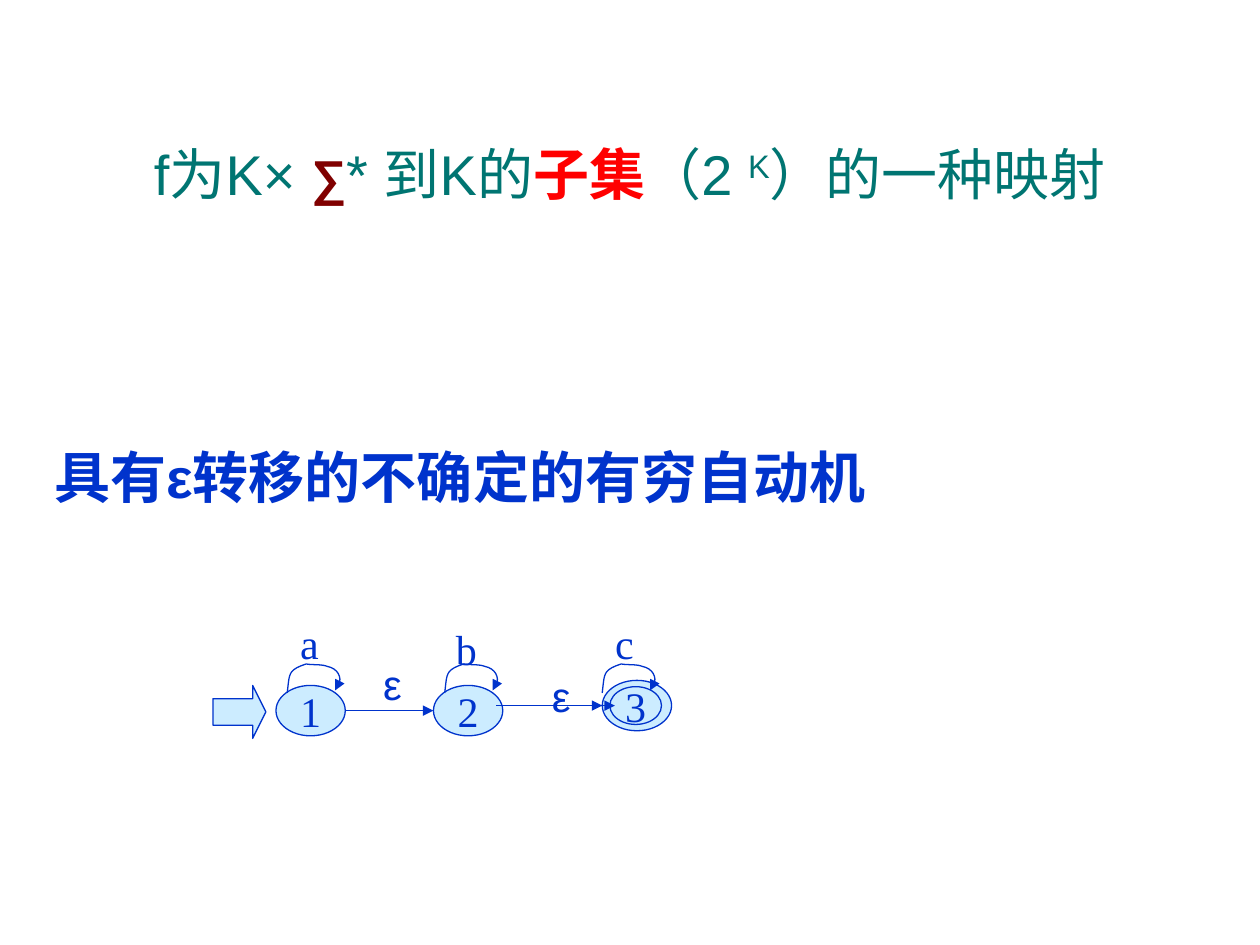
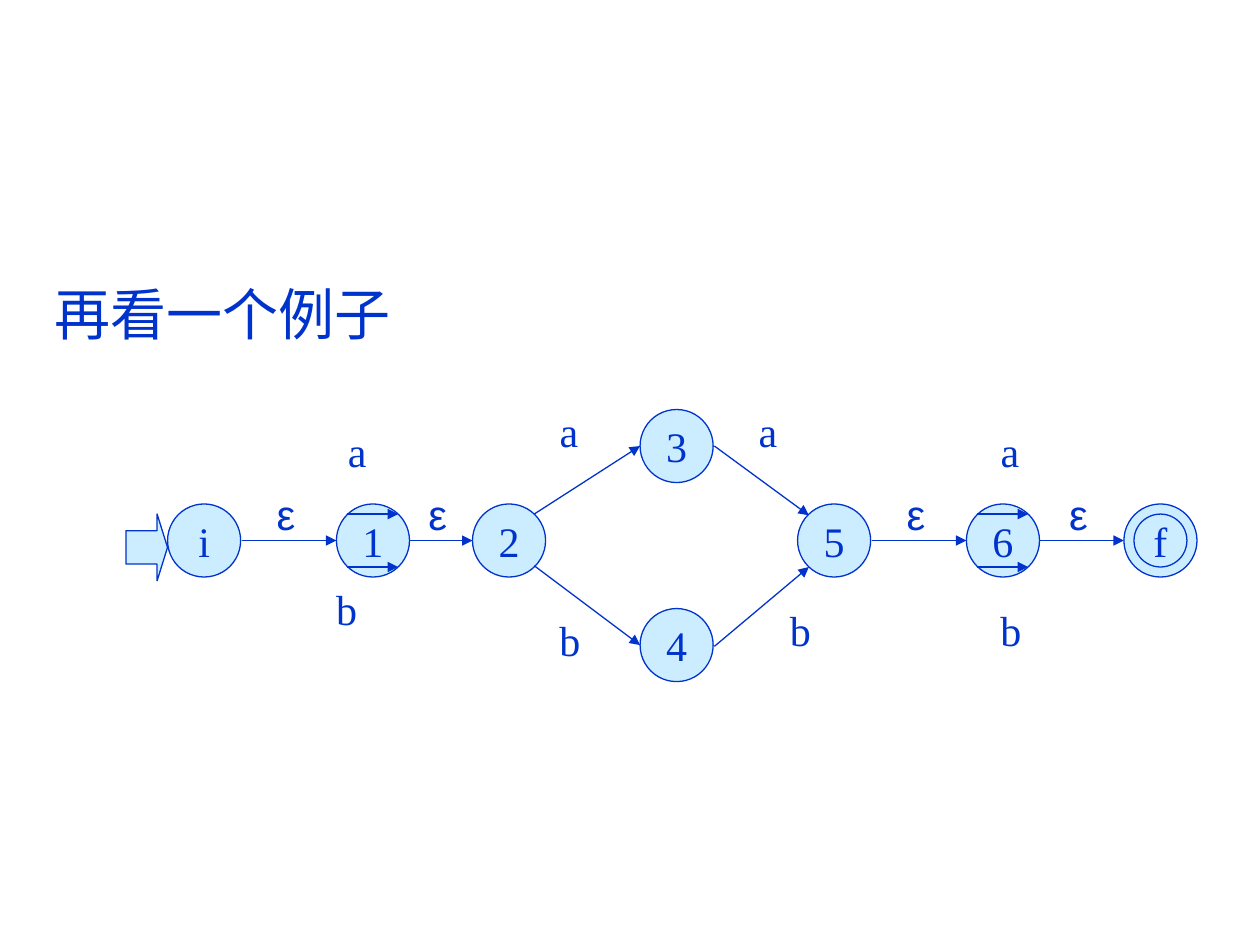
"""Build two slides on finite automata with epsilon transitions."""
import pptx
import pptx.dml.color
import pptx.enum.shapes
import pptx.enum.text
import pptx.oxml
import pptx.oxml.ns
import pptx.util
from pptx.util import Inches

RGB = pptx.dml.color.RGBColor
BLUE = RGB(0x00, 0x33, 0xCC)
PALE = RGB(0xCC, 0xEC, 0xFF)
TEAL = RGB(0x00, 0x75, 0x72)
MAROON = RGB(0x80, 0x00, 0x00)
RED = RGB(0xFF, 0x00, 0x00)
SANS, SERIF = "Arial", "Times New Roman"
SHAPE = pptx.enum.shapes.MSO_SHAPE
ALIGN = pptx.enum.text.PP_ALIGN
ANCHOR = pptx.enum.text.MSO_ANCHOR
CENTRED = {"word_wrap": False, "vertical_anchor": ANCHOR.MIDDLE}
BOX = {"left": Inches(0.33), "width": Inches(9.34)}


def apply(obj, values):
    """Set every attribute named in values on obj."""
    for name, value in values.items():
        setattr(obj, name, value)


def add_run(p, text, size=32, name=SANS, color=BLUE, bold=False):
    """Append a formatted run to a paragraph."""
    r = p.add_run()
    r.text = text
    apply(r.font, {"size": pptx.util.Pt(size), "name": name, "bold": bold})
    r.font.color.rgb = color
    return r


def add_child(parent, tag, **attributes):
    """Append a DrawingML element to parent."""
    child = pptx.oxml.ns.qn(tag)
    element = parent.makeelement(child, attributes)
    parent.append(element)


def outline(sp, arrow=False):
    """Give a shape or connector the thin blue line, with an optional arrowhead."""
    sp.line.color.rgb = BLUE
    sp.line.width = pptx.util.Pt(0.75)
    if arrow:
        add_child(sp.line._get_or_add_ln(), "a:tailEnd", type="triangle")


def add_title(s, runs):
    """Fill the title placeholder from (text, format) pairs."""
    sp = s.shapes.title
    apply(sp, BOX | {"top": Inches(0.75), "height": Inches(1.25)})
    tf = sp.text_frame
    apply(tf, {"vertical_anchor": ANCHOR.MIDDLE,
               "auto_size": pptx.enum.text.MSO_AUTO_SIZE.NONE})
    p = tf.paragraphs[0]
    p.alignment = ALIGN.CENTER
    return [add_run(p, text, **values) for text, values in runs]


def add_body(s, text, top, bold=False):
    """Put one unbulleted line into the body placeholder."""
    sp = s.placeholders[1]
    apply(sp, BOX | {"top": Inches(top), "height": Inches(6.42 - top)})
    tf = sp.text_frame
    apply(tf, {"vertical_anchor": ANCHOR.TOP,
               "auto_size": pptx.enum.text.MSO_AUTO_SIZE.NONE})
    p = tf.paragraphs[0]
    p.space_before = 0
    pPr = p._p.get_or_add_pPr()
    apply(pPr, {"marL": Inches(0.38), "indent": Inches(-0.38)})
    add_child(pPr, "a:buNone")
    add_run(p, text, bold=bold)


def write_centred(tf, text, name=SERIF):
    """Centre a symbol in a text frame."""
    apply(tf, CENTRED)
    p = tf.paragraphs[0]
    p.alignment = ALIGN.CENTER
    add_run(p, text, size=24, name=name)


def add_pale(s, kind, x, y, w, h):
    """Add a pale preset shape with a blue outline."""
    sp = s.shapes.add_shape(kind, Inches(x), Inches(y), Inches(w), Inches(h))
    sp.shadow.inherit = False
    sp.fill.solid()
    sp.fill.fore_color.rgb = PALE
    outline(sp)
    return sp


def add_state(s, x, y, w, h, text=""):
    """Add a state ellipse."""
    sp = add_pale(s, SHAPE.OVAL, x, y, w, h)
    if text:
        write_centred(sp.text_frame, text)


def add_start(s, x, y, w, h):
    """Add the block arrow that marks the start state."""
    sp = add_pale(s, SHAPE.RIGHT_ARROW, x, y, w, h)
    sp.adjustments[1] = 0.25


def add_label(s, text, x, y):
    """Add a transition symbol."""
    sp = s.shapes.add_textbox(Inches(x), Inches(y), Inches(0.35), Inches(0.5))
    write_centred(sp.text_frame, text, SANS if text == "ε" else SERIF)


def add_arrow(s, x1, y1, x2, y2):
    """Add a straight transition arrow."""
    sp = s.shapes.add_connector(pptx.enum.shapes.MSO_CONNECTOR.STRAIGHT,
                                *map(Inches, (x1, y1, x2, y2)))
    outline(sp, arrow=True)
    add_child(sp._element.spPr, "a:effectLst")


def curve_points(points, steps=10):
    """Return points along a chain of cubic curves."""
    result = []
    for k in range(0, len(points) - 1, 3):
        a, b, c, d = points[k:k + 4]
        for t in (n / steps for n in range(1, steps + 1)):
            u = 1 - t
            result.append(tuple(
                Inches(u**3 * a[i] + 3 * u * u * t * b[i]
                       + 3 * u * t * t * c[i] + t**3 * d[i])
                for i in (0, 1)))
    return result


def add_loop(s, x, y):
    """Add a curved arrow from a state back to itself."""
    offsets = [(0, 0.23), (0.02, 0.08), (0, 0.05), (0.15, 0), (0.21, 0.01),
               (0.27, 0), (0.32, 0.02), (0.42, 0.04), (0.45, 0.14), (0.38, 0.21)]
    points = [(x + dx, y + dy) for dx, dy in offsets]
    builder = s.shapes.build_freeform(*map(Inches, points[0]))
    builder.add_line_segments(curve_points(points), close=False)
    sp = builder.convert_to_shape()
    sp.shadow.inherit = False
    sp.fill.background()
    outline(sp, arrow=True)


def build_definition(prs):
    """Build the slide with the mapping and the three-state automaton."""
    s = prs.slides.add_slide(prs.slide_layouts[1])
    teal = {"color": TEAL}
    runs = add_title(s, [
        ("f为K× ", teal),
        ("∑", {"size": 28, "color": MAROON, "bold": True}),
        ("* 到K的", teal),
        ("子集", {"color": RED, "bold": True}),
        ("（2 ", teal), ("K", teal), ("）的一种映射", teal)])
    runs[5]._r.get_or_add_rPr().set("baseline", "30000")
    add_body(s, "具有ε转移的不确定的有穷自动机", 3.46, bold=True)

    add_state(s, 2.19, 5.44, 0.55, 0.4, "1")
    add_state(s, 3.44, 5.44, 0.55, 0.4, "2")
    add_state(s, 4.78, 5.4, 0.55, 0.4)
    add_state(s, 4.84, 5.45, 0.41, 0.3, "3")
    add_start(s, 1.69, 5.44, 0.42, 0.42)
    for x in (2.28, 3.53, 4.78):
        add_loop(s, x, 5.27)
    for ends in ((2.74, 5.64, 3.44, 5.64), (4.03, 5.6, 4.78, 5.6),
                 (3.94, 5.6, 4.88, 5.6)):
        add_arrow(s, *ends)
    for label in (("ε", 2.94, 5.18), ("ε", 4.28, 5.27), ("a", 2.28, 4.85),
                  ("b", 3.52, 4.9), ("c", 4.78, 4.85)):
        add_label(s, *label)


def build_example(prs):
    """Build the slide with the eight-state example."""
    s = prs.slides.add_slide(prs.slide_layouts[1])
    title = s.shapes.title._element
    title.getparent().remove(title)
    add_body(s, "再看一个例子", 2.17)

    size, row = 0.58, 4
    for text, x, y in (("4", 5.08, 4.83), ("", 8.92, row), ("3", 5.08, 3.25),
                       ("5", 6.33, row), ("6", 7.67, row), ("2", 3.75, row),
                       ("1", 2.67, row), ("i", 1.33, row)):
        add_state(s, x, y, size, size, text)
    add_state(s, 9, 4.08, 0.42, 0.42, "f")
    add_start(s, 1, 4.08, 0.33, 0.53)

    for x1, x2 in ((1.92, 2.67), (3.25, 3.75), (6.92, 7.67), (8.25, 8.92)):
        add_arrow(s, x1, 4.29, x2, 4.29)
        add_label(s, "ε", (x1 + x2) / 2 - 0.2, 3.83)
    for x in (2.75, 7.75):
        for y in (4.08, 4.5):
            add_arrow(s, x, y, x + 0.41, y)
    for ends in ((4.24, 4.08, 5.08, 3.54), (4.24, 4.49, 5.08, 5.12),
                 (5.67, 3.54, 6.42, 4.09), (5.67, 5.13, 6.42, 4.5)):
        add_arrow(s, *ends)
    for label in (("a", 2.66, 3.33), ("a", 4.34, 3.17), ("a", 5.92, 3.17),
                  ("a", 7.84, 3.33), ("b", 2.57, 4.58), ("b", 4.34, 4.83),
                  ("b", 6.17, 4.75), ("b", 7.84, 4.75)):
        add_label(s, *label)


def main():
    """Build and save the presentation."""
    prs = pptx.Presentation()
    apply(prs, {"slide_width": Inches(10), "slide_height": Inches(7.5)})
    build_definition(prs)
    build_example(prs)
    prs.save("out.pptx")


if __name__ == "__main__":
    main()
